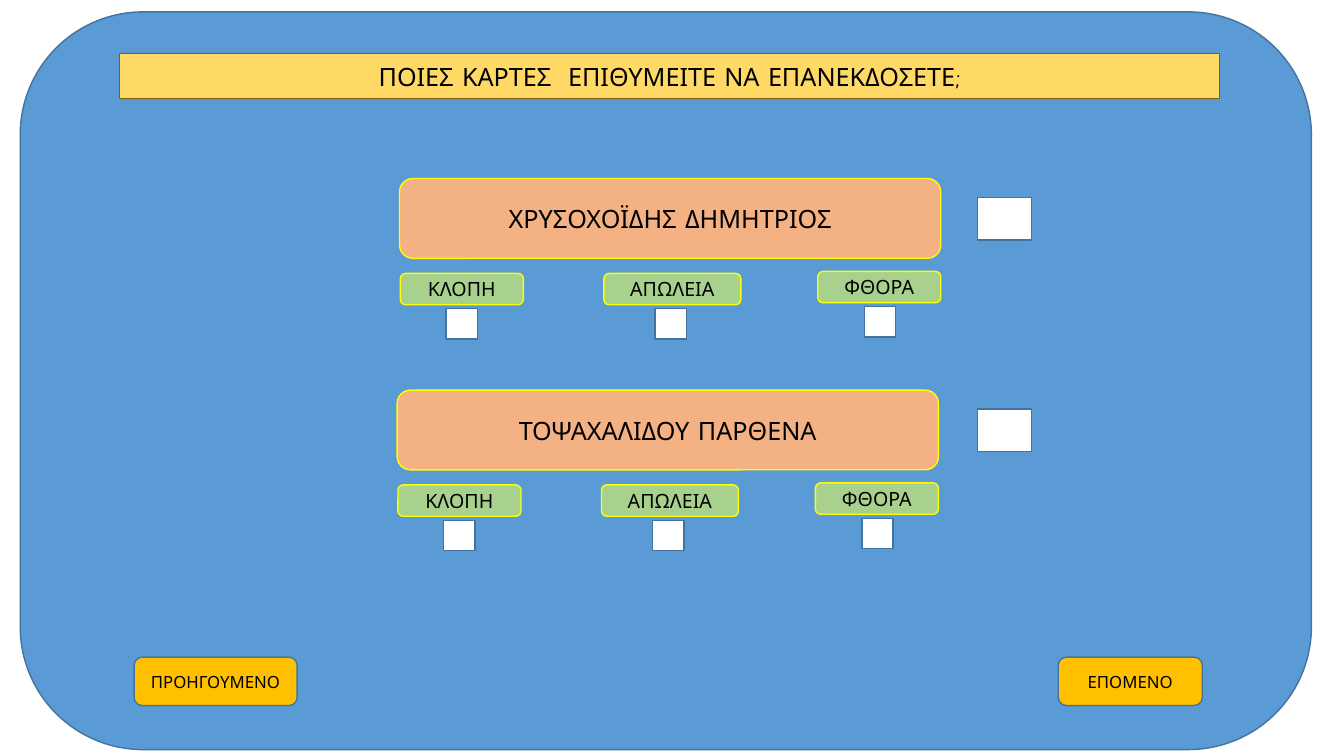
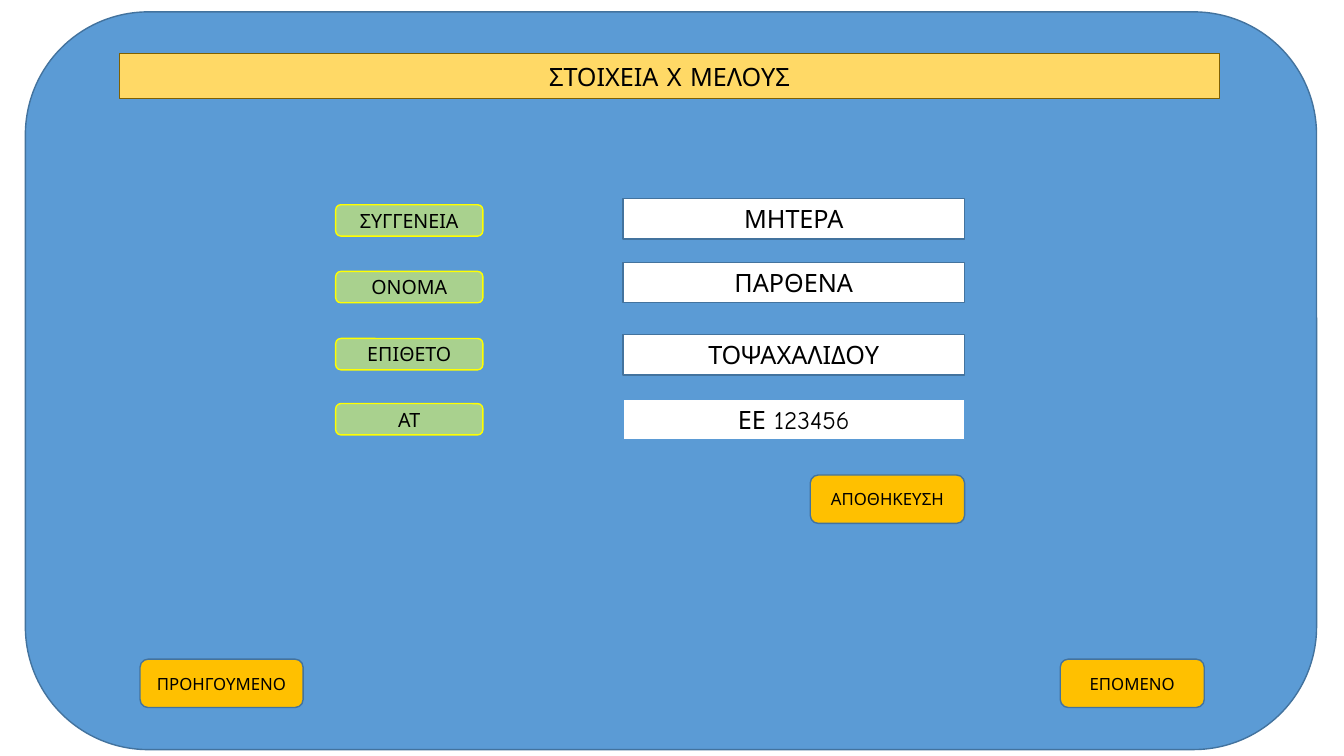
"""Build two form screens for reissuing members' cards."""
import pptx
import pptx.dml.color
import pptx.enum.shapes
import pptx.enum.text
import pptx.util

Cm = pptx.util.Cm
RECT = pptx.enum.shapes.MSO_SHAPE.RECTANGLE
ROUNDED = pptx.enum.shapes.MSO_SHAPE.ROUNDED_RECTANGLE

COLOURS = {
    "panel": "5B9BD5", "outline": "43739E", "banner": "FFD966",
    "banner_edge": "806000", "person": "F4B183", "label": "A9D18E",
    "highlight": "FFFF00", "button": "FFC000", "field": "FFFFFF",
    "text": "000000",
}
STYLES = {
    "panel": (ROUNDED, "panel", "outline", 18),
    "banner": (RECT, "banner", "banner_edge", 18),
    "person": (ROUNDED, "person", "highlight", 18),
    "label": (ROUNDED, "label", "highlight", 14),
    "field": (RECT, "field", "outline", 18),
    "plain_field": (RECT, "field", "panel", 18),
    "button": (ROUNDED, "button", "outline", 12),
}
LABEL_HEIGHT = 0.79
BUTTON_HEIGHT = 1.22


def colour(name):
    return pptx.dml.color.RGBColor.from_string(COLOURS[name])


def apply(target, values):
    for attribute, value in values.items():
        setattr(target, attribute, value)


def add_block(slide, style, left, top, width, height, text=""):
    outline, fill, edge, size = STYLES[style]
    block = slide.shapes.add_shape(outline, Cm(left), Cm(top), Cm(width), Cm(height))
    block.shadow.inherit = False
    block.fill.solid()
    block.fill.fore_color.rgb = colour(fill)
    block.line.color.rgb = colour(edge)
    block.line.width = pptx.util.Pt(1)
    if text:
        block.text_frame.vertical_anchor = pptx.enum.text.MSO_ANCHOR.MIDDLE
        paragraph = block.text_frame.paragraphs[0]
        paragraph.alignment = pptx.enum.text.PP_ALIGN.CENTER
        wording = paragraph.add_run()
        wording.text = text
        apply(wording.font, {"name": "Comic Neue", "size": pptx.util.Pt(size)})
        wording.font.color.rgb = colour("text")


def add_button(slide, left, top, width, text):
    add_block(slide, "button", left, top, width, BUTTON_HEIGHT, text)


def add_screen(deck, title, panel_left, previous_left, next_left, buttons_top):
    slide = deck.slides.add_slide(deck.slide_layouts[6])
    add_block(slide, "panel", panel_left, 0.3, 32.54, 18.59)
    add_block(slide, "banner", 3.02, 1.35, 27.71, 1.14, title)
    add_button(slide, previous_left, buttons_top, 4.11, "ΠΡΟΗΓΟΥΜΕΝΟ")
    add_button(slide, next_left, buttons_top, 3.63, "ΕΠΟΜΕΝΟ")
    return slide


def add_card_choice(slide, left, top, person):
    add_block(slide, "person", left, top, 13.64, 2.01, person)
    add_block(slide, "field", 24.64, top + 0.48, 1.35, 1.07)
    reasons = [("ΚΛΟΠΗ", 0.02, 2.39, 3.1), ("ΑΠΩΛΕΙΑ", 5.15, 2.39, 3.45),
               ("ΦΘΟΡΑ", 10.54, 2.34, 3.1)]
    for index, (reason, across, down, width) in enumerate(reasons):
        add_block(slide, "label", left + across, top + down, width, LABEL_HEIGHT, reason)
        add_block(slide, "field", left + 1.17 + index * 5.27, top + down + 0.89, 0.79, 0.76)


def add_detail(slide, label, label_top, value, value_top, field_style="field"):
    add_block(slide, "label", 8.46, label_top, 3.71, LABEL_HEIGHT, label)
    add_block(slide, field_style, 15.7, value_top, 8.61, 1.02, value)


def main():
    deck = pptx.Presentation()
    apply(deck, {"slide_width": Cm(33.87), "slide_height": Cm(19.05)})

    cards = add_screen(deck, "ΠΟΙΕΣ ΚΑΡΤΕΣ  ΕΠΙΘΥΜΕΙΤΕ ΝΑ ΕΠΑΝΕΚΔΟΣΕΤΕ;",
                       0.51, 3.38, 26.67, 16.56)
    add_card_choice(cards, 10.07, 4.5, "ΧΡΥΣΟΧΟΪΔΗΣ ΔΗΜΗΤΡΙΟΣ")
    add_card_choice(cards, 10.01, 9.83, "ΤΟΨΑΧΑΛΙΔΟΥ ΠΑΡΘΕΝΑ")

    member = add_screen(deck, "ΣΤΟΙΧΕΙΑ Χ ΜΕΛΟΥΣ", 0.64, 3.53, 26.72, 16.61)
    add_detail(member, "ΣΥΓΓΕΝΕΙΑ", 5.16, "ΜΗΤΕΡΑ", 5)
    add_detail(member, "ΟΝΟΜΑ", 6.84, "ΠΑΡΘΕΝΑ", 6.61)
    add_detail(member, "ΕΠΙΘΕΤΟ", 8.53, "ΤΟΨΑΧΑΛΙΔΟΥ", 8.43)
    add_detail(member, "ΑΤ", 10.17, "ΕΕ 123456", 10.06, "plain_field")
    add_button(member, 20.42, 11.97, 3.89, "ΑΠΟΘΗΚΕΥΣΗ")

    deck.save("out.pptx")


if __name__ == "__main__":
    main()
